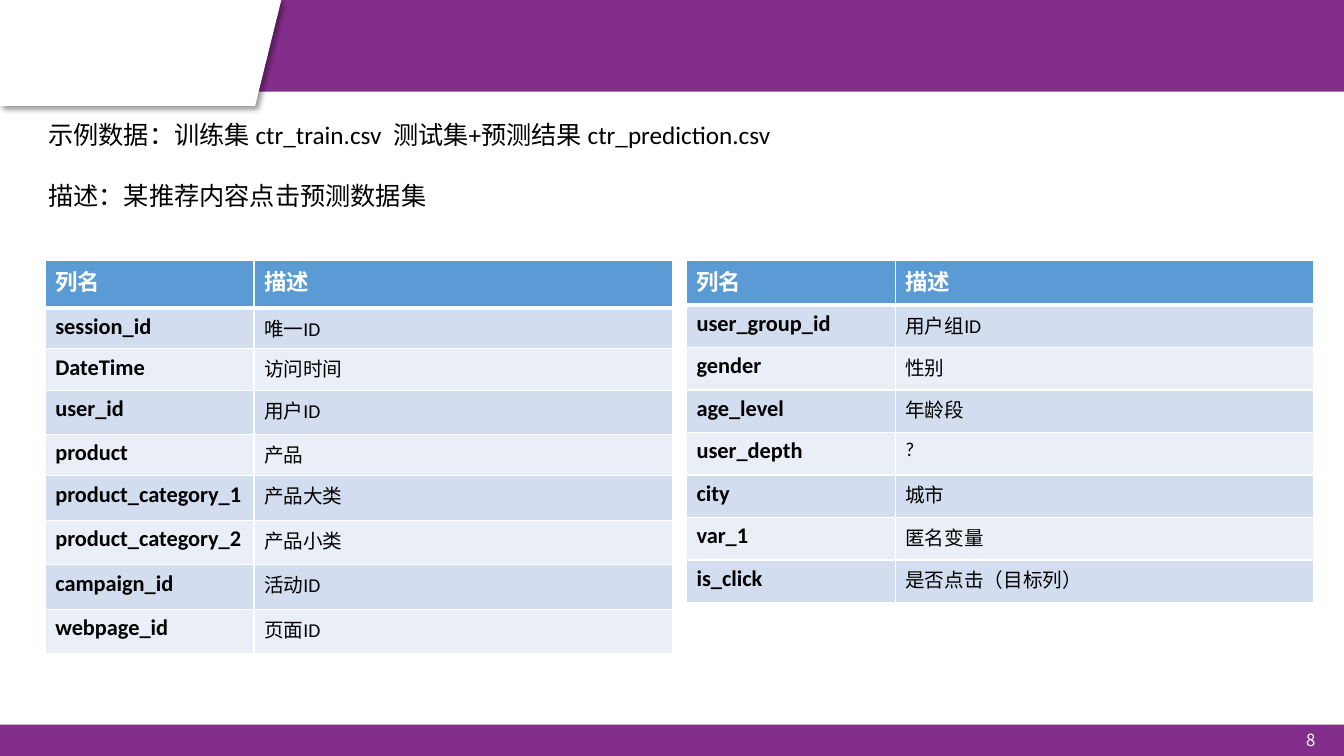
from dataclasses import dataclass

from lxml import etree
from pptx import Presentation
from pptx import util as u
from pptx.dml.color import RGBColor
from pptx.enum import shapes, text
from pptx.oxml import ns

COLORS = {
    "purple": "842E8C", "white": "FFFFFF", "black": "000000",
    "header": "5B9BD5", "odd": "D2DEEF", "even": "EAEFF7",
}
PAGE_W, PAGE_H = 33.87, 19.05
FOOTER_H = 0.79
TABLE_TOP = 6.55
COLUMN_WIDTHS = (5.26, 10.54)


@dataclass
class Bar:
    left: float
    top: float
    width: float
    height: float


@dataclass
class FieldTable:
    left: float
    row_heights: list[float]
    fields: list[tuple[str, str]]


BARS = [
    Bar(4.24, 0, PAGE_W - 4.24, 2.31),
    Bar(0, PAGE_H - FOOTER_H, PAGE_W, FOOTER_H),
]
TABLES = [
    FieldTable(1.14, [1.22, 1.02, 1.04, 1.12, 1.04] + [1.12] * 4, [
        ("session_id", "唯一ID"), ("DateTime", "访问时间"),
        ("user_id", "用户ID"), ("product", "产品"),
        ("product_category_1", "产品大类"), ("product_category_2", "产品小类"),
        ("campaign_id", "活动ID"), ("webpage_id", "页面ID"),
    ]),
    FieldTable(17.3, [1.14] + [1.07] * 7, [
        ("user_group_id", "用户组ID"), ("gender", "性别"),
        ("age_level", "年龄段"), ("user_depth", "?"), ("city", "城市"),
        ("var_1", "匿名变量"), ("is_click", "是否点击（目标列）"),
    ]),
]


def rgb(name: str) -> RGBColor:
    return RGBColor.from_string(COLORS[name])


def write(p, words: str, *, size: float, color: str = "black", bold: bool = False,
          font: str = "Calibri", align=None, before: float = 0) -> None:
    r = p.add_run()
    r.text = words
    r.font.size, r.font.bold, r.font.name = u.Pt(size), bold, font
    r.font.color.rgb = rgb(color)
    p.space_before = u.Pt(before)
    if align is not None:
        p.alignment = align


def paint(sp, color: str) -> None:
    sp.shadow.inherit = False
    sp.fill.solid()
    sp.fill.fore_color.rgb = rgb(color)
    sp.line.fill.background()


def add_bar(s, bar: Bar) -> None:
    sp = s.shapes.add_shape(shapes.MSO_SHAPE.RECTANGLE, u.Cm(bar.left), u.Cm(bar.top),
                            u.Cm(bar.width), u.Cm(bar.height))
    paint(sp, "purple")


def add_corner_tab(s) -> None:
    fb = s.shapes.build_freeform(0, 0)
    points = [(7.09, 0), (6.43, 2.67), (0, 2.67)]
    fb.add_line_segments([(u.Cm(x), u.Cm(y)) for x, y in points], close=True)
    sp = fb.convert_to_shape()
    paint(sp, "white")
    effects = sp._element.spPr.find(ns.qn("a:effectLst"))
    shadow = etree.SubElement(effects, ns.qn("a:outerShdw"), blurRad=str(u.Pt(4)),
                              dist=str(u.Pt(3)), dir="2700000", algn="tl", rotWithShape="0")
    clr = etree.SubElement(shadow, ns.qn("a:srgbClr"), val=COLORS["black"])
    etree.SubElement(clr, ns.qn("a:alpha"), val="40000")


def add_textbox(s, left: float, top: float, width: float, height: float):
    tf = s.shapes.add_textbox(u.Cm(left), u.Cm(top), u.Cm(width), u.Cm(height)).text_frame
    tf.word_wrap = True
    return tf


def set_borders(cell, bottom: float) -> None:
    tc_pr = cell._tc.get_or_add_tcPr()
    for side, width in (("L", 1), ("R", 1), ("T", 1), ("B", bottom)):
        ln = etree.SubElement(tc_pr, ns.qn(f"a:ln{side}"), w=str(u.Pt(width)))
        fill = etree.SubElement(ln, ns.qn("a:solidFill"))
        etree.SubElement(fill, ns.qn("a:srgbClr"), val=COLORS["white"])


def add_field_table(s, spec: FieldTable) -> None:
    rows = [("列名", "描述")] + spec.fields
    tbl = s.shapes.add_table(len(rows), len(COLUMN_WIDTHS), u.Cm(spec.left), u.Cm(TABLE_TOP),
                             u.Cm(sum(COLUMN_WIDTHS)), u.Cm(sum(spec.row_heights))).table
    for col, width in zip(tbl.columns, COLUMN_WIDTHS):
        col.width = u.Cm(width)
    for i, (row, height) in enumerate(zip(rows, spec.row_heights)):
        tbl.rows[i].height = u.Cm(height)
        is_header = i == 0
        fill = "header" if is_header else "odd" if i % 2 else "even"
        for j, words in enumerate(row):
            cell = tbl.cell(i, j)
            # The header rule is also the top edge of the first data row
            set_borders(cell, 3 if is_header else 1)
            cell.fill.solid()
            cell.fill.fore_color.rgb = rgb(fill)
            strong = is_header or j == 0
            write(cell.text_frame.paragraphs[0], words, size=16 if strong else 14,
                  bold=strong, color="white" if is_header else "black")


def main() -> None:
    prs = Presentation()
    prs.slide_width, prs.slide_height = u.Cm(PAGE_W), u.Cm(PAGE_H)
    s = prs.slides.add_slide(prs.slide_layouts[6])

    # Header and footer
    for bar in BARS:
        add_bar(s, bar)
    add_corner_tab(s)

    # Page number
    tf = add_textbox(s, 32.31, PAGE_H - FOOTER_H, 1.09, FOOTER_H)
    tf.vertical_anchor = text.MSO_ANCHOR.MIDDLE
    write(tf.paragraphs[0], "8", size=12, color="white", font="Noto Sans CJK SC",
          align=text.PP_ALIGN.RIGHT)

    # Introduction
    tf = add_textbox(s, 0.97, 2.87, 20.83, 3.43)
    write(tf.paragraphs[0], "示例数据：训练集 ctr_train.csv  测试集+预测结果 ctr_prediction.csv", size=18)
    write(tf.add_paragraph(), "描述：某推荐内容点击预测数据集", size=18, before=22)

    # Field tables
    for spec in TABLES:
        add_field_table(s, spec)

    prs.save("out.pptx")


if __name__ == "__main__":
    main()
